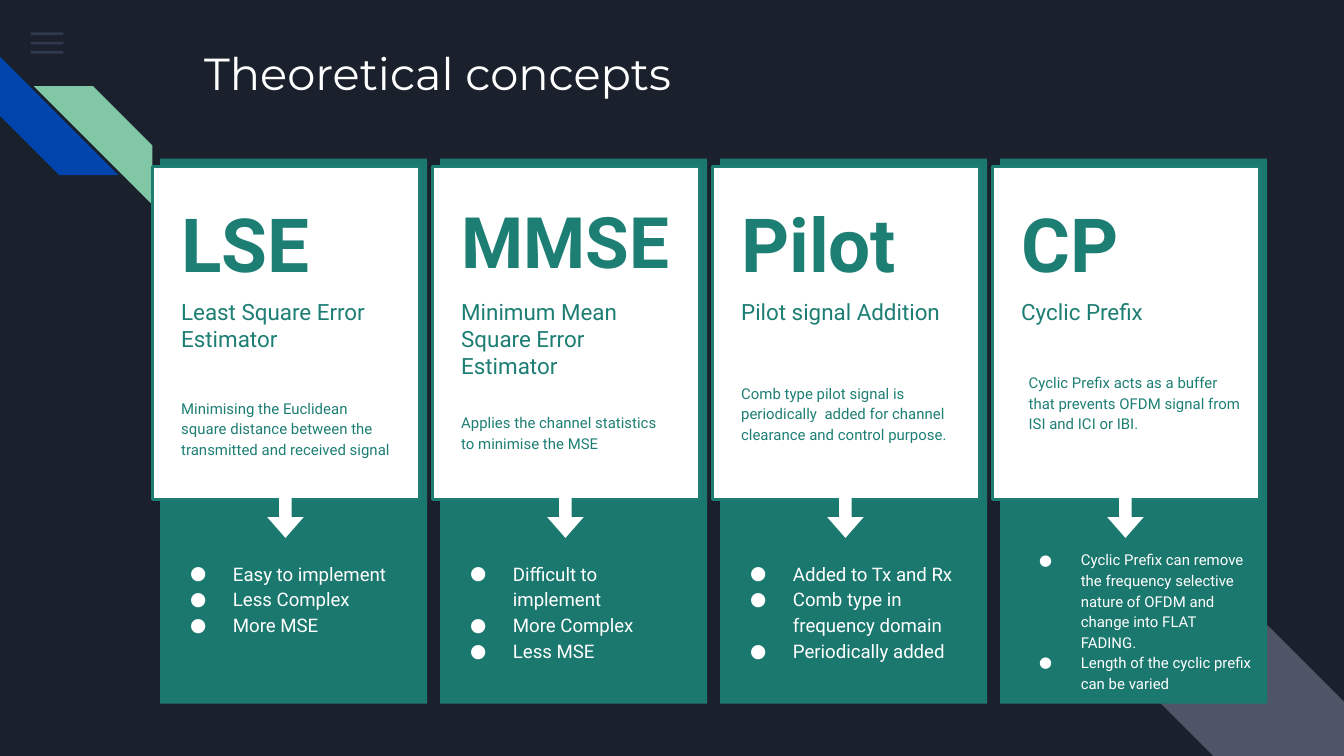
from dataclasses import dataclass

from lxml import etree
from pptx import Presentation
from pptx.dml.color import RGBColor
from pptx.enum import shapes, text
from pptx.oxml.ns import qn
from pptx.util import Pt

COLORS = {
    "night": "1B212C", "menu": "55688B", "blue": "0145AC", "mint": "82C7A5",
    "slate": "4E5567", "panel": "1B786E", "teal": "1D7E74", "white": "FFFFFF",
}
COMPARISON_LAYOUT = 4  # a title and four body placeholders
CARD_PITCH = 150


@dataclass
class Card:
    term: str
    meaning: str
    summary: str
    points: list
    term_size: float = 40
    summary_at: tuple = (90, 197.3)
    points_at: tuple = (81.6, 292.3)
    points_size: float = 10
    hanging: float = 23


CARDS = [
    Card("LSE", "Least Square Error Estimator",
         "Minimising the Euclidean square distance between the transmitted and received signal",
         ["Easy to implement", "Less Complex", "More MSE"],
         summary_at=(90, 205.2)),
    Card("MMSE", "Minimum Mean Square Error Estimator",
         "Applies the channel statistics to minimise the MSE",
         ["Difficult to implement", "More Complex", "Less MSE"],
         term_size=38, summary_at=(90, 213.1)),
    Card("Pilot", "Pilot signal Addition",
         "Comb type pilot signal is periodically  added for channel clearance and control purpose.",
         ["Added to Tx and Rx", "Comb type in frequency domain", "Periodically added"]),
    Card("CP", "Cyclic Prefix",
         "Cyclic Prefix acts as a buffer that prevents OFDM signal from ISI and ICI or IBI.",
         ["Cyclic Prefix can remove the frequency selective nature of OFDM and "
          "change into FLAT FADING.", "Length of the cyclic prefix can be varied"],
         summary_at=(94, 191.5), points_at=(85.8, 286.6), points_size=8, hanging=22.3),
]


def rgb(name):
    return RGBColor.from_string(COLORS[name])


class SlideBuilder:
    def __init__(self, slide, heading_font="Montserrat", body_font="Roboto"):
        self.slide = slide
        self.heading_font = heading_font
        self.body_font = body_font

    def background(self, color):
        fill = self.slide.background.fill
        fill.solid()
        fill.fore_color.rgb = rgb(color)

    def paint(self, shape, color, outline=None, alpha=None):
        shape.shadow.inherit = False
        shape.fill.solid()
        shape.fill.fore_color.rgb = rgb(color)
        if alpha is not None:
            tint = shape._element.spPr.find(".//" + qn("a:srgbClr"))
            etree.SubElement(tint, qn("a:alpha")).set("val", str(alpha * 1000))
        if outline:
            shape.line.color.rgb = rgb(outline)
            shape.line.width = Pt(1.5)
        else:
            shape.line.fill.background()

    def preset(self, kind, box, color, **finish):
        shape = self.slide.shapes.add_shape(kind, *map(Pt, box))
        self.paint(shape, color, **finish)
        return shape

    def rectangle(self, box, color, **finish):
        return self.preset(shapes.MSO_SHAPE.RECTANGLE, box, color, **finish)

    def stripe(self, box, color, rotation=0, mirrored=False):
        stripe = self.preset(shapes.MSO_SHAPE.DIAGONAL_STRIPE, box, color)
        stripe.rotation = rotation
        if mirrored:
            stripe._element.spPr.find(qn("a:xfrm")).set("flipH", "1")

    def down_arrow(self, box):
        arrow = self.preset(shapes.MSO_SHAPE.RIGHT_ARROW, box, "white")
        arrow.adjustments[0], arrow.adjustments[1] = 0.342, 0.57
        arrow.rotation = 90

    def polygon(self, points, color):
        corners = [(Pt(x), Pt(y)) for x, y in points]
        outline = self.slide.shapes.build_freeform(*corners[0])
        outline.add_line_segments(corners[1:], close=True)
        self.paint(outline.convert_to_shape(), color)

    def set_text(self, holder, lines, size, color, font=None, bold=False, spacing=1.0,
                 hanging=None):
        frame = holder.text_frame
        frame.word_wrap = True
        frame.auto_size = text.MSO_AUTO_SIZE.NONE
        frame.vertical_anchor = text.MSO_ANCHOR.TOP
        frame.margin_left = frame.margin_right = Pt(7.2)
        frame.margin_top = frame.margin_bottom = Pt(7.2)
        frame.text = "\n".join(lines)
        for paragraph in frame.paragraphs:
            if hanging:
                self.bullet(paragraph, color, hanging)
            paragraph.alignment = text.PP_ALIGN.LEFT
            paragraph.line_spacing = spacing
            paragraph.space_before = Pt(0)
            for run in paragraph.runs:
                run.font.name = font or self.body_font
                run.font.size = Pt(size)
                run.font.bold = bold
                run.font.color.rgb = rgb(color)

    def bullet(self, paragraph, color, hanging):
        properties = paragraph._p.get_or_add_pPr()
        properties.set("marL", str(Pt(36)))
        properties.set("indent", str(-Pt(hanging)))
        tint = etree.SubElement(properties, qn("a:buClr"))
        etree.SubElement(tint, qn("a:srgbClr")).set("val", COLORS[color])
        etree.SubElement(properties, qn("a:buFont")).set("typeface", self.body_font)
        etree.SubElement(properties, qn("a:buChar")).set("char", "●")

    def label(self, box, line, size, **style):
        holder = self.slide.shapes.add_textbox(*map(Pt, box))
        self.set_text(holder, [line], size, "teal", **style)

    def placeholder(self, holder, box, lines, size, **style):
        """Fill a placeholder and bring it in front of what is drawn so far."""
        holder.left, holder.top, holder.width, holder.height = map(Pt, box)
        self.set_text(holder, lines, size, "white", **style)
        element = holder._element
        element.getparent().append(element)

    def card(self, card, holder, shift):
        self.rectangle((85.8 + shift, 85, 143, 292), "panel")
        self.rectangle((81.6 + shift, 89.4, 143, 178.3), "white", outline="teal")
        self.label((90 + shift, 152.6, 128, 44), card.meaning, 12)
        x, y = card.summary_at
        self.label((x + shift, y, 128, 60), card.summary, 8, spacing=1.15)
        self.label((90 + shift, 98.6, 128, 48), card.term, card.term_size, bold=True)
        self.down_arrow((138.9 + shift, 264.4, 28, 19.6))
        x, y = card.points_at
        self.placeholder(holder, (x + shift, y, 143, 78), card.points, card.points_size,
                         spacing=1.15, hanging=card.hanging)


def main():
    deck = Presentation()
    deck.slide_width, deck.slide_height = Pt(720), Pt(405)
    slide = deck.slides.add_slide(deck.slide_layouts[COMPARISON_LAYOUT])
    title, *lists = slide.placeholders
    builder = SlideBuilder(slide)

    builder.background("night")
    for row in range(3):
        builder.rectangle((16.6, 17.4 + 5 * row, 17.4, 1.4), "menu", alpha=36)
    builder.stripe((0, 30.4, 63.4, 63.4), "blue", rotation=270)
    builder.stripe((18.2, 46.2, 63.4, 63.4), "mint", mirrored=True)
    builder.placeholder(title, (102.2, 17.3, 595.4, 36.7), ["Theoretical concepts"], 24,
                        font=builder.heading_font)
    builder.polygon([(554.4, 309), (653, 309), (720, 375.8), (720, 405), (650, 405)], "slate")
    for column, (card, holder) in enumerate(zip(CARDS, lists)):
        builder.card(card, holder, column * CARD_PITCH)

    deck.save("out.pptx")


if __name__ == "__main__":
    main()
